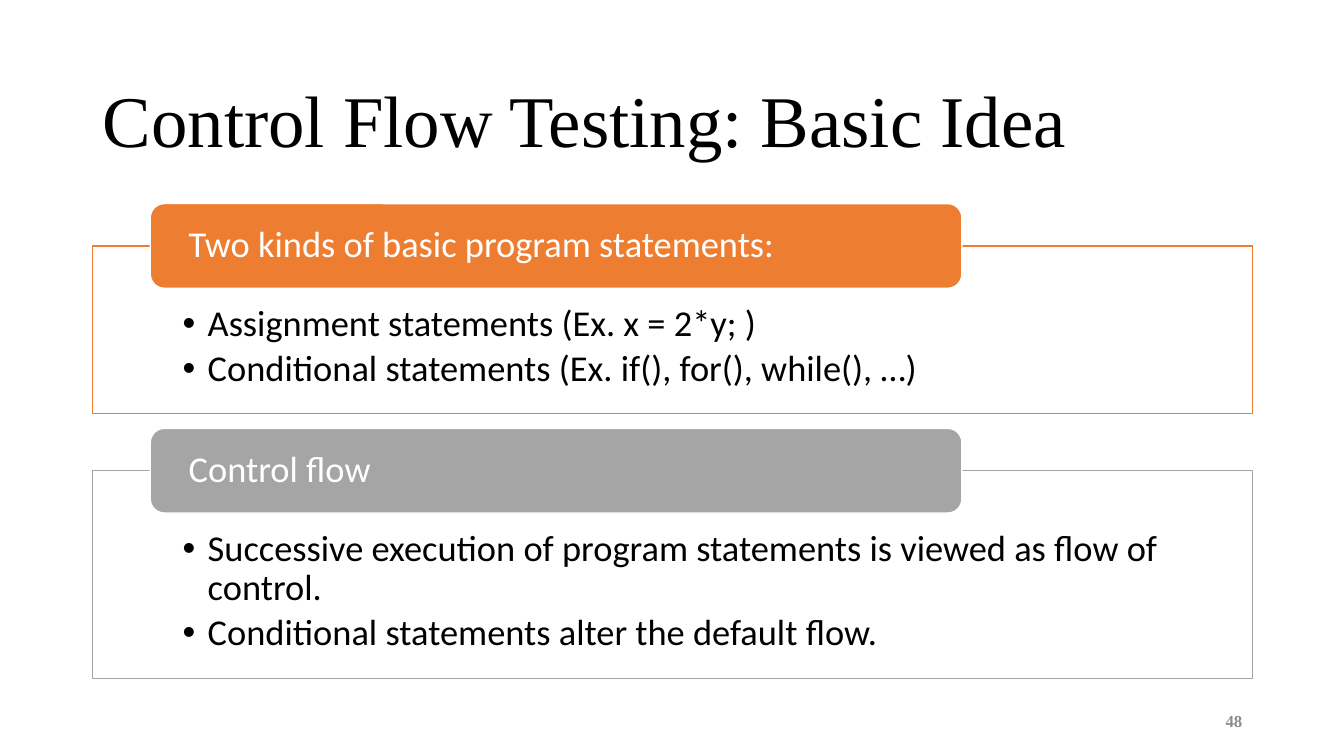
from dataclasses import dataclass

from pptx import Presentation
from pptx.dml.color import RGBColor
from pptx.enum.shapes import MSO_SHAPE
from pptx.enum.text import MSO_ANCHOR, MSO_AUTO_SIZE, PP_ALIGN
from pptx.util import Inches, Pt

BLACK = RGBColor(0x00, 0x00, 0x00)
WHITE = RGBColor(0xFF, 0xFF, 0xFF)
GREY = RGBColor(0x8C, 0x8C, 0x8C)
ORANGE = RGBColor(0xED, 0x7D, 0x31)
SILVER = RGBColor(0xA5, 0xA5, 0xA5)

LEFT, RIGHT = PP_ALIGN.LEFT, PP_ALIGN.RIGHT
TOP, MIDDLE = MSO_ANCHOR.TOP, MSO_ANCHOR.MIDDLE
ROUND = MSO_SHAPE.ROUNDED_RECTANGLE
NO_FIT = MSO_AUTO_SIZE.NONE

SERIF, SANS = "Times New Roman", "Calibri"
EDGE, WIDTH = 0.92, 11.5
TAB_LEFT, TAB_WIDTH, TAB_HEIGHT = 1.49, 8.05, 0.84


@dataclass
class Panel:
    head: str
    items: list[str]
    color: RGBColor
    top: float
    height: float


PANELS = [
    Panel("Two kinds of basic program statements:",
          ["Assignment statements (Ex. x = 2*y; )",
           "Conditional statements (Ex. if(), for(), while(), …)"],
          ORANGE, 2.44, 1.66),
    Panel("Control flow",
          ["Successive execution of program statements is viewed as flow of control.",
           "Conditional statements alter the default flow."],
          SILVER, 4.67, 2.06),
]


def place(shape, left: float, top: float, width: float, height: float) -> None:
    shape.left, shape.top = Inches(left), Inches(top)
    shape.width, shape.height = Inches(width), Inches(height)


def paint(shape, fill: RGBColor, line: RGBColor) -> None:
    shape.fill.solid()
    shape.fill.fore_color.rgb = fill
    shape.line.color.rgb = line
    shape.line.width = Pt(1)


def write(shape, lines: list[str], *, size: float, color: RGBColor,
          font: str = SANS, bold: bool = False, align=LEFT, anchor=MIDDLE,
          inset: tuple[float, float, float, float] = (0.1, 0.05, 0.1, 0.05),
          spacing: float = 0.9, after: float = 0, hang: float = 0) -> None:
    """Fill a shape with paragraphs; inset runs left, top, right, bottom."""
    frame = shape.text_frame
    frame.word_wrap = True
    frame.auto_size = NO_FIT
    frame.vertical_anchor = anchor
    (frame.margin_left, frame.margin_top,
     frame.margin_right, frame.margin_bottom) = map(Inches, inset)
    frame.text = "\n".join(lines)
    for para in frame.paragraphs:
        if hang:
            props = para._p.get_or_add_pPr()
            props.set("marL", str(Inches(hang)))
            props.set("indent", str(-Inches(hang)))
        para.alignment = align
        para.line_spacing = spacing
        para.space_before = Pt(0)
        para.space_after = Pt(after)
        para.font.name = font
        para.font.size = Pt(size)
        para.font.bold = bold
        para.font.color.rgb = color


def draw(slide, panel: Panel, body) -> None:
    place(body, EDGE, panel.top, WIDTH, panel.height)
    paint(body, WHITE, panel.color)
    write(body, panel.items, size=26, color=BLACK, anchor=TOP,
          inset=(0.89, 0.59, 0.89, 0.2), after=3.9, hang=0.25)

    tab = slide.shapes.add_shape(ROUND, 0, 0, 0, 0)
    place(tab, TAB_LEFT, panel.top - TAB_HEIGHT / 2, TAB_WIDTH, TAB_HEIGHT)
    tab.shadow.inherit = False
    paint(tab, panel.color, WHITE)
    write(tab, [panel.head], size=26, color=WHITE, inset=(0.34, 0, 0.34, 0))


def main() -> None:
    deck = Presentation()
    deck.slide_width, deck.slide_height = Inches(13.33), Inches(7.5)
    slide = deck.slides.add_slide(deck.slide_layouts.get_by_name("Two Content"))

    title, *bodies = slide.placeholders
    place(title, EDGE, 0.61, WIDTH, 1.24)
    write(title, ["Control Flow Testing: Basic Idea"],
          size=52, color=BLACK, font=SERIF)

    for panel, body in zip(PANELS, bodies):
        draw(slide, panel, body)

    number = slide.shapes.add_textbox(0, 0, 0, 0)
    place(number, 9.42, 6.95, 3, 0.4)
    write(number, ["48"], size=12, color=GREY, font=SERIF, bold=True,
          align=RIGHT, spacing=1, after=6)

    deck.save("out.pptx")


if __name__ == "__main__":
    main()
